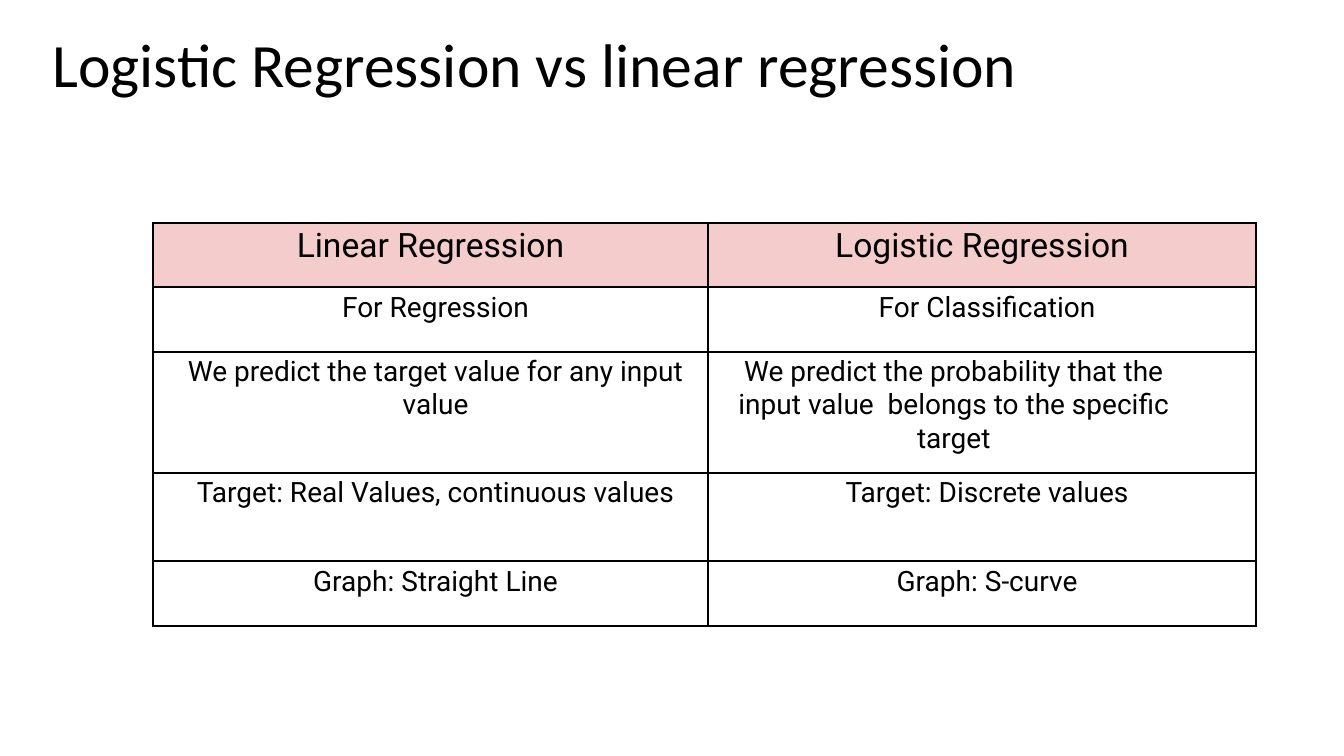
from lxml import etree
from pptx import Presentation
from pptx.dml.color import RGBColor
from pptx.enum.text import MSO_ANCHOR, PP_ALIGN
from pptx.oxml.ns import qn
from pptx.util import Pt

PX = 9144
CENTER = PP_ALIGN.CENTER
MIDDLE = MSO_ANCHOR.MIDDLE


def color(value):
    return RGBColor.from_string(value)


def style(font, name, size):
    font.name = name
    font.size = Pt(size)
    font.bold = False
    font.color.rgb = color("000000")


deck = Presentation()
deck.slide_width = 1333 * PX
deck.slide_height = 750 * PX
page = deck.slides.add_slide(deck.slide_layouts[6])

title = page.shapes.add_textbox(51 * PX, 24 * PX, 1045 * PX, 75 * PX)
frame = title.text_frame
frame.word_wrap = True
frame.vertical_anchor = MIDDLE
frame.margin_left = frame.margin_right = frame.margin_bottom = 0
frame.margin_top = 1 * PX
frame.text = "Logistic Regression vs linear regression"
frame.paragraphs[0].runs[0]
frame.paragraphs[0]._p.get_or_add_pPr().set("marL", str(1 * PX))
style(frame.paragraphs[0].runs[0].font, "Calibri", 44)

comparison = [
    ("Linear Regression", "Logistic Regression"),
    ("For Regression", "For Classification"),
    (
        "We predict the target value for any input value",
        "We predict the probability that the input value  belongs to the specific target",
    ),
    ("Target: Real Values, continuous values", "Target: Discrete values"),
    ("Graph: Straight Line", "Graph: S-curve"),
]
widths = [550, 544]
heights = [64, 64, 120, 88, 64]

table = page.shapes.add_table(
    len(heights), len(widths), 152 * PX, 221 * PX, sum(widths) * PX, sum(heights) * PX
).table
table.horz_banding = False
for column, width in zip(table.columns, widths):
    column.width = width * PX
for row, height in zip(table.rows, heights):
    row.height = height * PX

for row_index, texts in enumerate(comparison):
    is_header = row_index == 0
    for column_index, text in enumerate(texts):
        cell = table.cell(row_index, column_index)
        cell.margin_left = cell.margin_right = cell.margin_bottom = 0
        cell.margin_top = 4 * PX
        cell.text_frame.text = text
        para = cell.text_frame.paragraphs[0]
        para.alignment = CENTER
        if not is_header:
            para._p.get_or_add_pPr().set("marL", str(10 * PX))
        style(para.runs[0].font, "Roboto", 24 if is_header else 20)

        properties = cell._tc.get_or_add_tcPr()
        for side in ("a:lnL", "a:lnR", "a:lnT", "a:lnB"):
            border = etree.SubElement(properties, qn(side), w=str(Pt(1.5)))
            fill = etree.SubElement(border, qn("a:solidFill"))
            etree.SubElement(fill, qn("a:srgbClr"), val="000000")
        if is_header:
            cell.fill.solid()
            cell.fill.fore_color.rgb = color("F4CCCC")
        else:
            cell.fill.background()

probability = table.cell(2, 1)
probability.margin_top = 3 * PX
probability.margin_right = 66 * PX
probability.text_frame.paragraphs[0].line_spacing = 1.02

deck.save("out.pptx")
